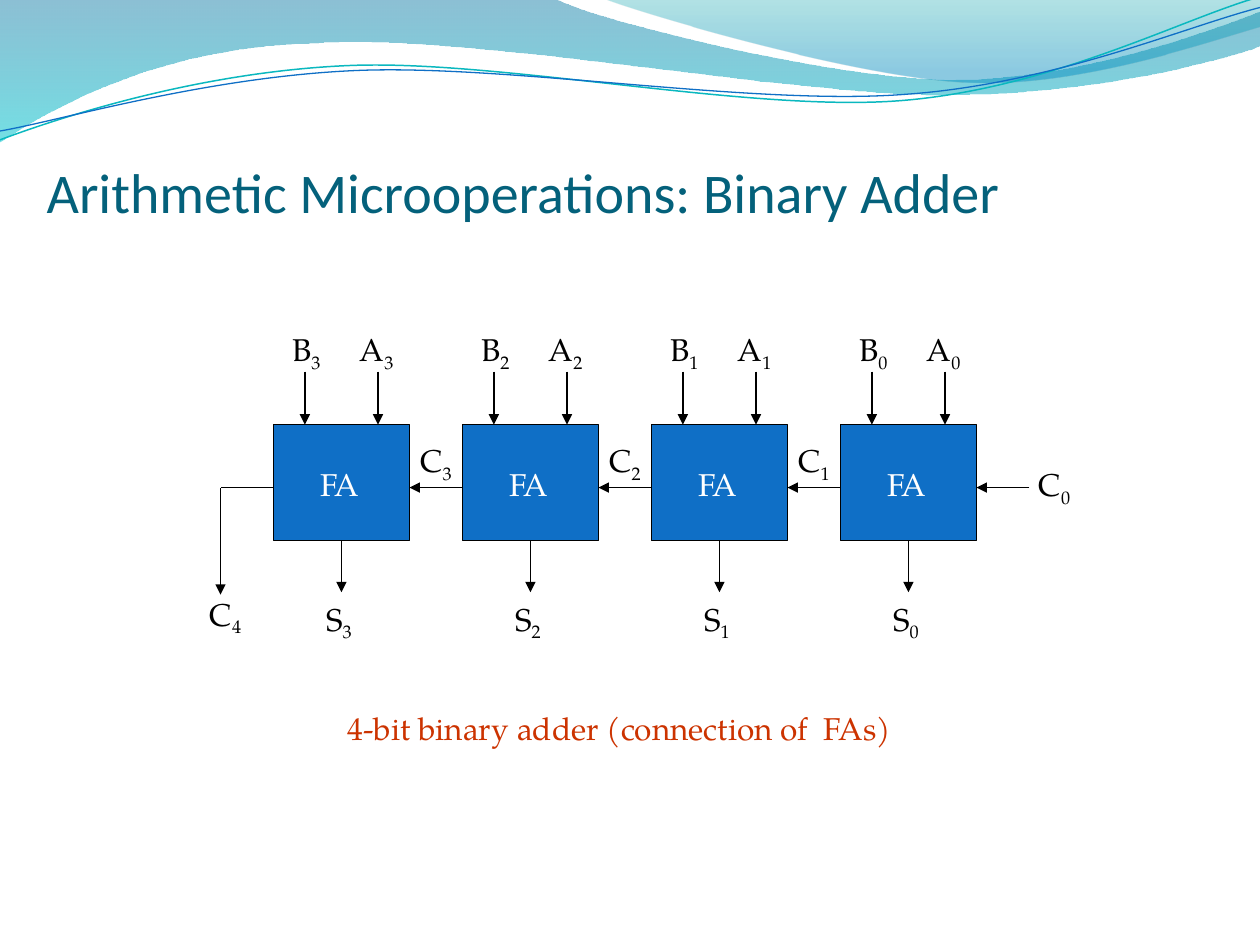
import math

import pptx
import pptx.dml.color
import pptx.enum.shapes
import pptx.enum.text
import pptx.oxml
import pptx.oxml.ns
import pptx.util
from pptx.util import Inches

COLORS = {
    "title": "04617B", "caption": "CC3300", "box": "0F6FC6", "ink": "000000",
    "white": "FFFFFF", "teal": "0AB8BF", "band_top": "0074A1",
    "band_bottom": "00C6CF", "sweep_top": "00A1A9", "sweep_bottom": "008BBF",
}
SERIF = "TeX Gyre Pagella"
WAVE_TILT = 2.7
BAND = [
    [(0, 0)], [(4.4, -0.01)],
    [(4.76, 0.17), (6.64, 0.63), (7.58, 0.63)],
    [(8.53, 0.63), (9.58, 0.26), (10, 0.09)], [(10.01, 0.36)],
    [(9.83, 0.44), (8.7, 0.76), (7.46, 0.75)],
    [(6.22, 0.75), (3.82, 0.28), (2.57, 0.34)],
    [(1.29, 0.36), (0.46, 0.83), (-0.01, 1.13)], [(0, 0)],
]
SWEEP = [
    [(4.79, -0.01)],
    [(5.09, 0.11), (6.82, 0.62), (7.69, 0.65)],
    [(8.56, 0.69), (9.61, 0.32), (10, 0.21)], [(10, 0)], [(4.79, -0.01)],
]
TEAL_WAVE = [
    [(0, 1.11)],
    [(0.48, 0.93), (1.58, 0.57), (2.77, 0.52)],
    [(3.95, 0.47), (5.93, 0.89), (7.13, 0.8)],
    [(8.33, 0.71), (9.38, 0.15), (9.98, -0.02)],
]
BLUE_WAVE = [
    [(0, 1.04)],
    [(0.47, 0.96), (1.64, 0.61), (2.83, 0.56)],
    [(4.03, 0.51), (5.97, 0.84), (7.17, 0.75)],
    [(8.36, 0.67), (9.41, 0.21), (10, 0.06)],
]


def rgb(name):
    return pptx.dml.color.RGBColor.from_string(COLORS[name])


def turn(path, center, degrees):
    cos, sin = math.cos(math.radians(degrees)), math.sin(math.radians(degrees))
    cx, cy = center
    return [[(cx + cos * (x - cx) - sin * (y - cy),
              cy + sin * (x - cx) + cos * (y - cy)) for x, y in part] for part in path]


def add_outline(shapes, path, close):
    points = [(Inches(x), Inches(y)) for part in path for x, y in part]
    builder = shapes.build_freeform(*points[0])
    builder.add_line_segments(points[1:], close=close)
    s = builder.convert_to_shape()
    s.shadow.inherit = False
    lines = iter(list(s._element.spPr.iter(pptx.oxml.ns.qn("a:lnTo"))))
    for part in path[1:]:
        segment = [next(lines) for _ in part]
        if len(part) == 3:
            curve = pptx.oxml.parse_xml(f'<a:cubicBezTo {pptx.oxml.ns.nsdecls("a")}/>')
            segment[0].addprevious(curve)
            for line in segment:
                curve.append(line[0])
                line.getparent().remove(line)
    return s


def add_gradient_band(shapes, path, stops):
    s = add_outline(shapes, path, True)
    s.line.fill.background()
    s.fill.gradient()
    s.fill.gradient_angle = 270
    for stop, (position, color, _) in zip(s.fill.gradient_stops, stops):
        stop.position = position
        stop.color.rgb = rgb(color)
    for clr, (_, _, alpha) in zip(s._element.spPr.iter(pptx.oxml.ns.qn("a:srgbClr")), stops):
        clr.append(pptx.oxml.parse_xml(
            f'<a:alpha {pptx.oxml.ns.nsdecls("a")} val="{alpha * 1000}"/>'))


def add_wave(shapes, path, center, color, width):
    s = add_outline(shapes, turn(path, center, WAVE_TILT), False)
    s.rotation = -WAVE_TILT
    s.fill.background()
    s.line.color.rgb = rgb(color)
    s.line.width = pptx.util.Pt(width)


def add_header(shapes):
    add_gradient_band(shapes, BAND, [(0, "band_top", 45), (1, "band_bottom", 55)])
    add_gradient_band(shapes, SWEEP, [(0, "sweep_top", 30), (0.8, "sweep_bottom", 45)])
    add_wave(shapes, TEAL_WAVE, (4.99, 0.58), "teal", 0.85)
    add_wave(shapes, BLUE_WAVE, (5, 0.59), "box", 0.75)


def add_run(p, text, size, font, color):
    r = p.add_run()
    r.text = text
    r.font.size = pptx.util.Pt(size)
    r.font.name = font
    r.font.color.rgb = rgb(color)
    return r


def add_title(slide, x, y, w, h):
    sp = slide.shapes.title
    sp.left, sp.top, sp.width, sp.height = map(Inches, (x, y, w, h))
    tf = sp.text_frame
    tf.auto_size = pptx.enum.text.MSO_AUTO_SIZE.NONE
    tf.vertical_anchor = pptx.enum.text.MSO_ANCHOR.BOTTOM
    tf.margin_left = tf.margin_right = tf.margin_bottom = 0
    p = tf.paragraphs[0]
    p.alignment = pptx.enum.text.PP_ALIGN.LEFT
    add_run(p, "Arithmetic Microoperations: Binary Adder", 32, "Calibri", "title")


def add_label(shapes, x, y, text, subscript="", w=0.58, color="ink"):
    tf = shapes.add_textbox(*map(Inches, (x, y, w, 0.4))).text_frame
    tf.word_wrap = True
    tf.auto_size = pptx.enum.text.MSO_AUTO_SIZE.SHAPE_TO_FIT_TEXT
    p = tf.paragraphs[0]
    p.alignment = pptx.enum.text.PP_ALIGN.CENTER
    add_run(p, text, 18, SERIF, color)
    if subscript:
        r = add_run(p, subscript, 18, SERIF, color)
        r.font._element.set("baseline", "-25000")


def add_wire(shapes, x1, y1, x2, y2, arrow=True):
    c = shapes.add_connector(pptx.enum.shapes.MSO_CONNECTOR.STRAIGHT,
                             *map(Inches, (x1, y1, x2, y2)))
    c.line.color.rgb = rgb("ink")
    c.line.width = pptx.util.Pt(0.75)
    ns = pptx.oxml.ns.nsdecls("a")
    if arrow:
        c.line._get_or_add_ln().append(
            pptx.oxml.parse_xml(f'<a:tailEnd {ns} type="triangle"/>'))
    c._element.spPr.append(pptx.oxml.parse_xml(f"<a:effectLst {ns}/>"))
    return c


def add_full_adder(shapes, x, y, w, h, bit):
    s = shapes.add_shape(pptx.enum.shapes.MSO_SHAPE.RECTANGLE, *map(Inches, (x, y, w, h)))
    s.shadow.inherit = False
    s.fill.solid()
    s.fill.fore_color.rgb = rgb("box")
    s.line.color.rgb = rgb("ink")
    s.line.width = pptx.util.Pt(0.75)
    add_label(shapes, x + 0.11, y + 0.27, "FA", w=0.83, color="white")
    for name, wire_x, label_x in (("B", 0.25, -0.03), ("A", 0.83, 0.53)):
        add_wire(shapes, x + wire_x, y - 0.42, x + wire_x, y)
        add_label(shapes, x + label_x, y - 0.8, name, bit)
    add_wire(shapes, x + w + 0.42, y + 0.5, x + w, y + 0.5)
    output = add_wire(shapes, x + w / 2, y + h, x + w / 2, y + h + 0.41)
    output.begin_connect(s, 2)
    add_label(shapes, x + 0.23, y + 1.34, "S", bit)


def add_adder(shapes, x, y, bits=4, pitch=1.5, w=1.08, h=0.92):
    for column in range(bits):
        bit = bits - 1 - column
        left = x + column * pitch
        add_full_adder(shapes, left, y, w, h, str(bit))
        if bit:
            add_label(shapes, left + 1, y + 0.08, "C", str(bit))
    add_label(shapes, x + bits * pitch - 0.09, y + 0.27, "C", "0")
    add_wire(shapes, x, y + 0.5, x - 0.42, y + 0.5, arrow=False)
    add_wire(shapes, x - 0.42, y + 0.5, x - 0.42, y + 1.35)
    add_label(shapes, x - 0.67, y + 1.3, "C", str(bits))


def main():
    prs = pptx.Presentation()
    prs.slide_width, prs.slide_height = Inches(10), Inches(7.5)
    slide = prs.slides.add_slide(prs.slide_layouts[5])
    add_header(slide.shapes)
    add_title(slide, 0.37, 1.25, 9.63, 0.53)
    add_label(slide.shapes, 2.58, 5.58, "4-bit binary adder (connection of  FAs)",
              w=4.67, color="caption")
    add_adder(slide.shapes.add_group_shape().shapes, 2.17, 3.37)
    prs.save("out.pptx")


if __name__ == "__main__":
    main()
